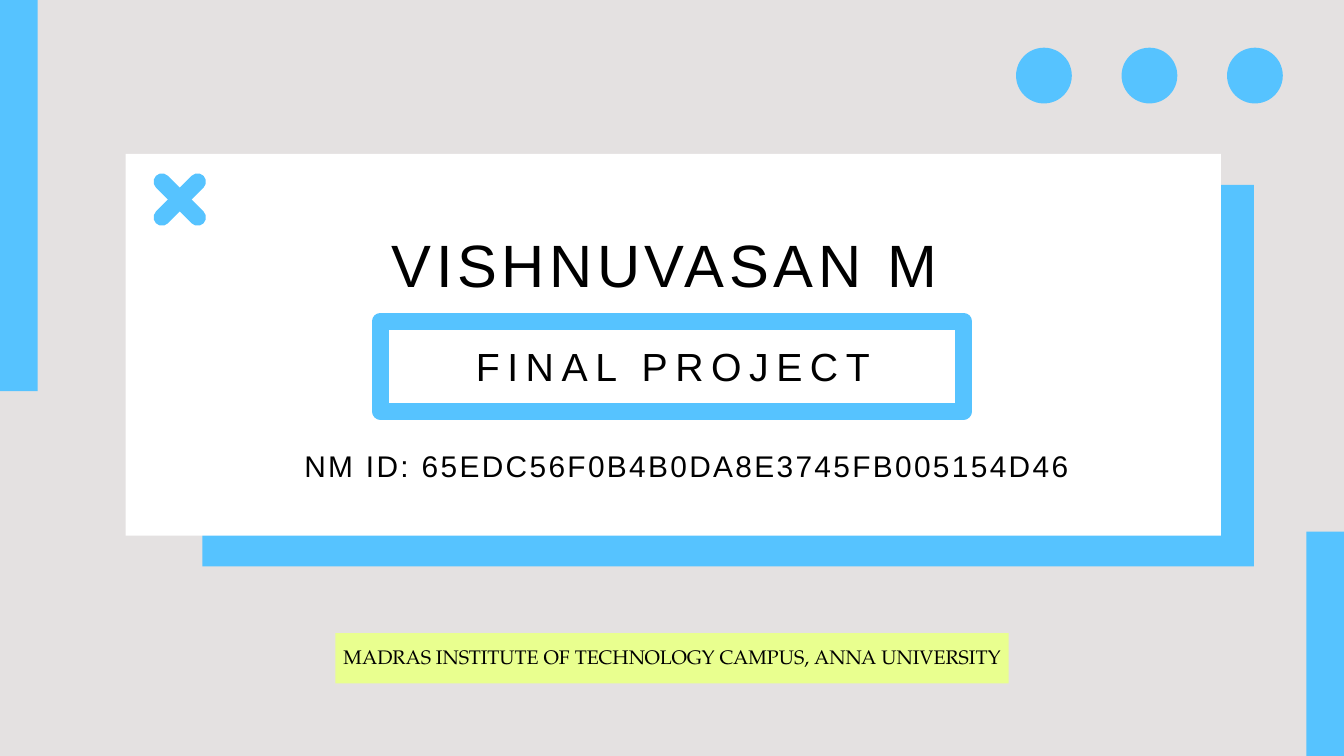
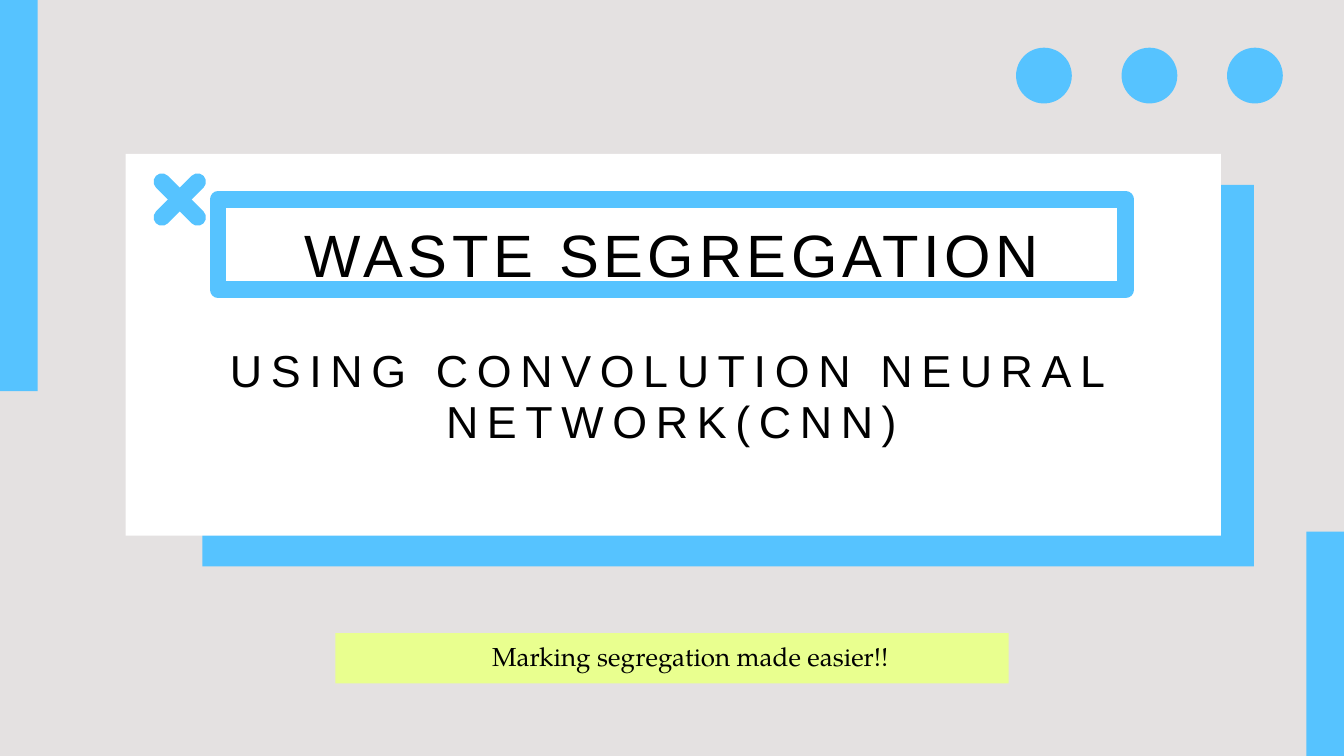
from pptx import Presentation
from pptx import util as u
from pptx.dml.color import RGBColor
from pptx.enum import shapes, text

# Content: role, wording, (left, top, width, height), size, line spacing, tracking
SLIDES = [
    {
        "frame": (4.78, 8.68),
        "texts": [
            ("subtitle", "FINAL PROJECT", (1.14, 5.14, 17.75, 0.67), 42, 47.5, 8.1),
            ("title", "VISHNUVASAN M", (1.34, 3.5, 17.1, 0.99), 64, 69.1, 5),
            ("banner", "MADRAS INSTITUTE OF TECHNOLOGY CAMPUS, ANNA UNIVERSITY",
             (4.99, 9.54, 10.02, 0.39), 21, 29.4, 0),
            ("label", "NM ID: 65EDC56F0B4B0DA8E3745FB005154D46",
             (1.67, 6.72, 17.1, 0.5), 32, 34.6, 2.5),
        ],
    },
    {
        "frame": (2.97, 13.51),
        "texts": [
            ("subtitle", "USING CONVOLUTION NEURAL NETWORK(CNN)",
             (1.12, 5.15, 17.75, 1.53), 48, 54.2, 9.3),
            ("title", "WASTE SEGREGATION", (1.45, 3.12, 17.1, 1.17), 64, 85.8, 5),
            ("banner", "Marking segregation made easier!!",
             (6.88, 9.46, 6.79, 0.51), 27.8, 38.9, 0),
        ],
    },
]

# Shared look
WIDTH, HEIGHT = 20, 11.25
GREY = RGBColor(0xE4, 0xE1, 0xE1)
BLUE = RGBColor(0x56, 0xC3, 0xFF)
LIME = RGBColor(0xE9, 0xFF, 0x8F)
WHITE = RGBColor(0xFF, 0xFF, 0xFF)
BLACK = RGBColor(0, 0, 0)
SANS, SERIF = "Arial", "TeX Gyre Pagella"

BAR_WIDTH, BAR_HEIGHT = 0.56, 6.15
BLOCKS = [
    ((3.01, 2.75, 15.65, 5.68), BLUE),                          # panel shadow
    ((4.99, 9.42, 10.02, 0.75), LIME),                          # banner
    ((1.87, 2.29, 16.3, 5.68), WHITE),                          # panel
    ((0, -0.33, BAR_WIDTH, BAR_HEIGHT), BLUE),                  # left bar
    ((WIDTH - BAR_WIDTH, 7.91, BAR_WIDTH, BAR_HEIGHT), BLUE),   # right bar
]
DOT_LEFT, DOT_TOP, DOT_SIZE, DOT_PITCH, DOT_COUNT = 15.12, 0.71, 0.83, 1.57, 3
CROSS_ARM = (2.55, 2.47, 0.25, 1)
FRAME_HEIGHT, FRAME_LINE = 1.34, 18


def inches(box):
    return [u.Inches(length) for length in box]


def add_block(slide, kind, box, fill=None):
    shape = slide.shapes.add_shape(kind, *inches(box))
    shape.shadow.inherit = False
    if fill is None:
        shape.fill.background()
    else:
        shape.fill.solid()
        shape.fill.fore_color.rgb = fill
        shape.line.fill.background()
    return shape


def decorate(slide, frame):
    slide.background.fill.solid()
    slide.background.fill.fore_color.rgb = GREY
    kinds = shapes.MSO_SHAPE
    for box, fill in BLOCKS:
        add_block(slide, kinds.RECTANGLE, box, fill)

    # Row of dots
    for index in range(DOT_COUNT):
        left = DOT_LEFT + index * DOT_PITCH
        add_block(slide, kinds.OVAL, (left, DOT_TOP, DOT_SIZE, DOT_SIZE), BLUE)

    # Cross in the panel corner
    for angle in (315, 45):
        arm = add_block(slide, kinds.ROUNDED_RECTANGLE, CROSS_ARM, BLUE)
        arm.adjustments[0] = 0.5
        arm.rotation = angle

    # Centred outline frame
    top, width = frame
    outline = add_block(slide, kinds.RECTANGLE,
                        ((WIDTH - width) / 2, top, width, FRAME_HEIGHT))
    outline.line.color.rgb = BLUE
    outline.line.width = u.Pt(FRAME_LINE)


def text_holder(slide, role, box):
    if role in ("title", "subtitle"):
        holder = slide.placeholders[0 if role == "title" else 1]
        holder.left, holder.top, holder.width, holder.height = inches(box)
        # Bring the placeholder in front of the panel
        holder.element.getparent().append(holder.element)
        return holder
    return slide.shapes.add_textbox(*inches(box))


def add_text(slide, role, wording, box, size, spacing, tracking):
    frame = text_holder(slide, role, box).text_frame
    frame.text = wording
    frame.word_wrap = True
    frame.auto_size = text.MSO_AUTO_SIZE.NONE
    frame.vertical_anchor = text.MSO_ANCHOR.TOP
    frame.margin_left = frame.margin_right = frame.margin_top = frame.margin_bottom = 0
    paragraph = frame.paragraphs[0]
    paragraph.alignment = text.PP_ALIGN.CENTER
    paragraph.line_spacing = u.Pt(spacing)
    paragraph.space_before = u.Pt(0)
    run = paragraph.runs[0]
    run.font.name = SERIF if role == "banner" else SANS
    run.font.size = u.Pt(size)
    run.font.color.rgb = BLACK
    # Letter spacing is counted in hundredths of a point
    run.font._element.set("spc", str(round(tracking * 100)))


def main():
    presentation = Presentation()
    presentation.slide_width = u.Inches(WIDTH)
    presentation.slide_height = u.Inches(HEIGHT)
    for content in SLIDES:
        slide = presentation.slides.add_slide(presentation.slide_layouts[0])
        decorate(slide, content["frame"])
        for item in content["texts"]:
            add_text(slide, *item)
    presentation.save("out.pptx")


if __name__ == "__main__":
    main()
